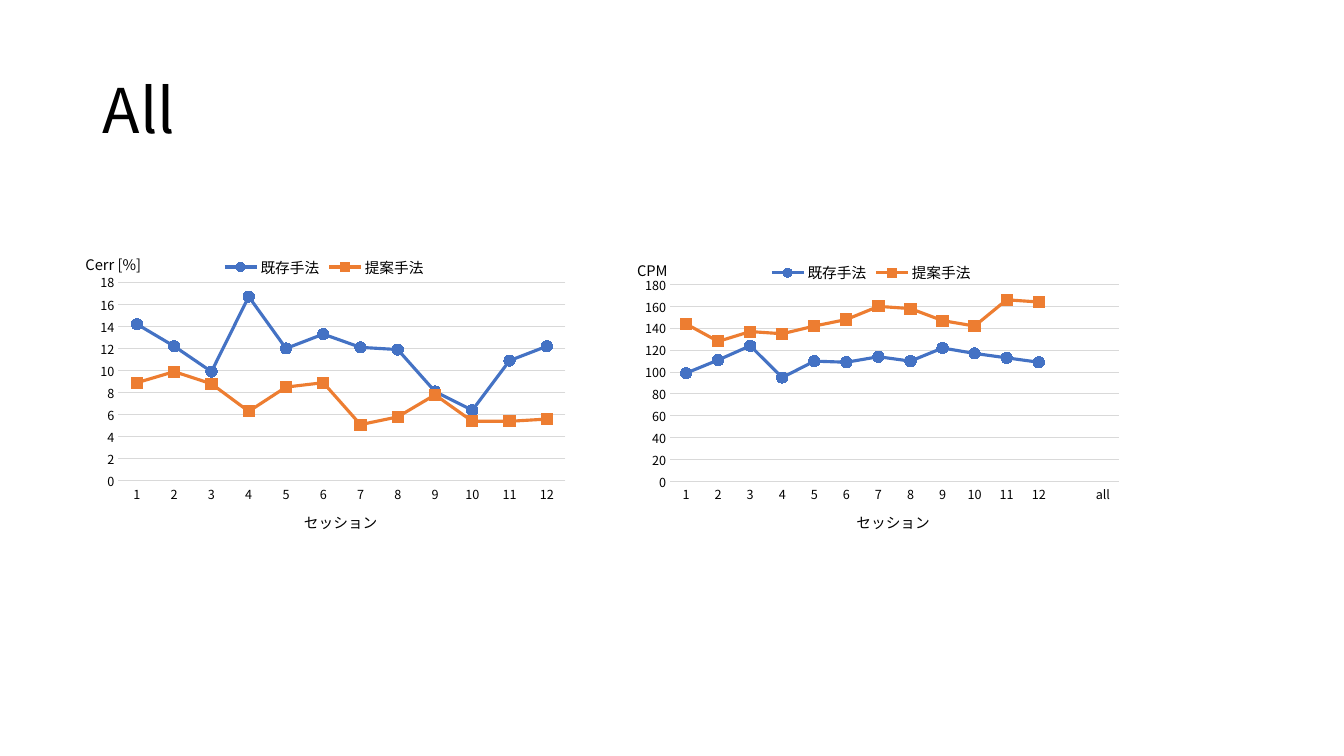
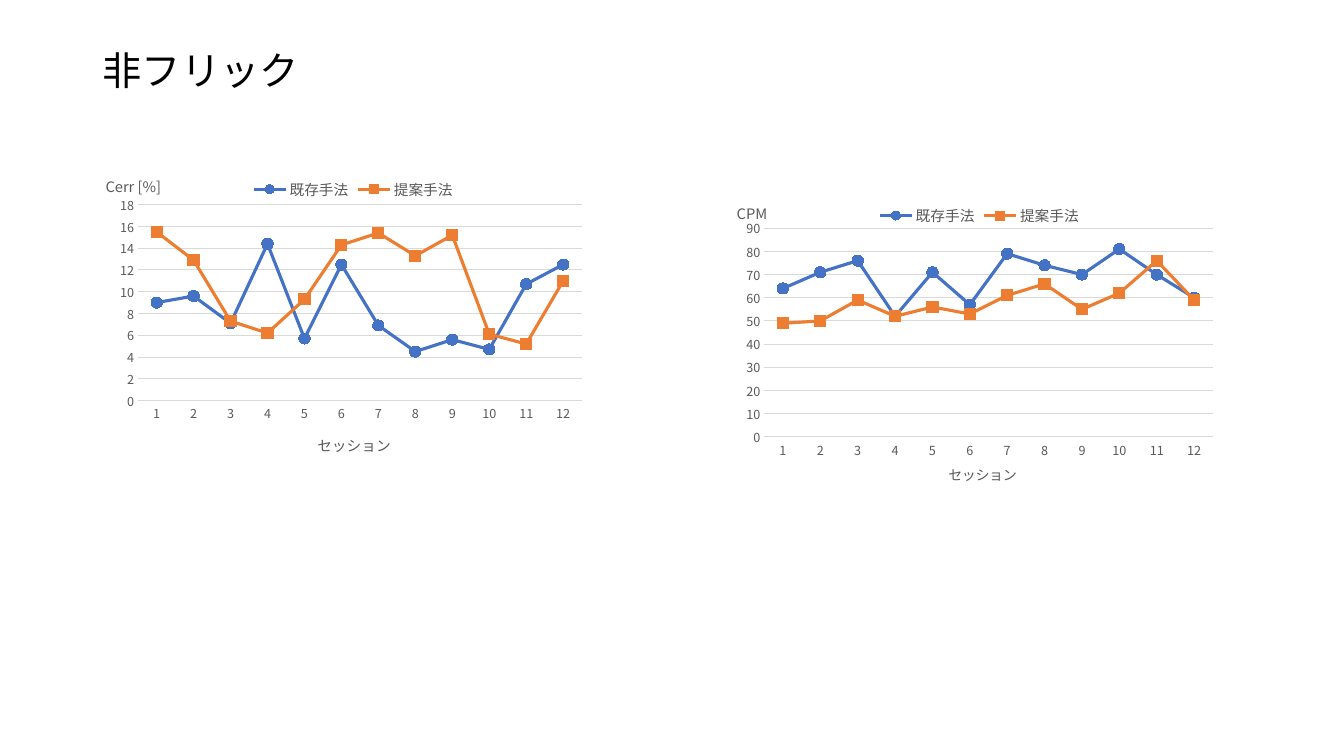
from dataclasses import dataclass

from lxml.etree import SubElement
from pptx import Presentation
from pptx.chart.axis import CategoryAxis, ValueAxis
from pptx.chart.chart import Chart
from pptx.chart.data import CategoryChartData
from pptx.dml.color import RGBColor
from pptx.enum.chart import (XL_CHART_TYPE, XL_LEGEND_POSITION, XL_MARKER_STYLE,
                             XL_TICK_MARK)
from pptx.enum.text import MSO_ANCHOR, MSO_AUTO_SIZE, PP_ALIGN
from pptx.oxml.ns import qn
from pptx.oxml.xmlchemy import BaseOxmlElement
from pptx.slide import Slide
from pptx.text.text import Font
from pptx.util import Inches, Pt

# Shared style
FONT = "Noto Sans CJK JP"
BLACK = RGBColor(0x00, 0x00, 0x00)
GRAY = RGBColor(0x59, 0x59, 0x59)
GRID = RGBColor(0xD9, 0xD9, 0xD9)
BLUE = RGBColor(0x44, 0x72, 0xC4)
ORANGE = RGBColor(0xED, 0x7D, 0x31)
SERIES_STYLES = (
    ("既存手法", BLUE, XL_MARKER_STYLE.CIRCLE),
    ("提案手法", ORANGE, XL_MARKER_STYLE.SQUARE),
)
SESSIONS = tuple(str(n) for n in range(1, 13))
SESSION_TITLE = "セッション"


@dataclass(frozen=True)
class LineChart:
    """Box is in inches; the layout fields are fractions of the chart."""
    box: tuple[float, float, float, float]
    unit: str
    maximum: float
    step: float
    existing: tuple[float, ...]
    proposed: tuple[float, ...]
    plot: tuple[float, float, float, float]
    legend: tuple[float, float]
    unit_at: tuple[float, float]
    session_at: tuple[float, float]
    categories: tuple[str, ...] = SESSIONS
    session_size: float = 10.5


@dataclass(frozen=True)
class ChartSlide:
    title: str
    title_box: tuple[float, float, float, float]
    title_size: float
    chart_color: RGBColor
    charts: tuple[LineChart, ...]


SLIDES = (
    ChartSlide("All", (0.92, 0.4, 11.5, 1.45), 44, BLACK, (
        LineChart(
            (0.72, 2.36, 5.04, 2.97), "Cerr [%]", 18, 2,
            (14.2, 12.2, 9.9, 16.7, 12, 13.3, 12.1, 11.9, 8.1, 6.4, 10.9, 12.2),
            (8.9, 9.9, 8.8, 6.3, 8.5, 8.9, 5.1, 5.8, 7.8, 5.4, 5.4, 5.6),
            plot=(0.09, 0.15, 0.88, 0.67), legend=(0.29, 0.05),
            unit_at=(0.02, 0.04), session_at=(0.45, 0.91)),
        LineChart(
            (6.19, 2.42, 5.06, 2.91), "CPM", 180, 20,
            (99, 111, 124, 95, 110, 109, 114, 110, 122, 117, 113, 109),
            (144, 128, 137, 135, 142, 148, 160, 158, 147, 142, 166, 164),
            plot=(0.09, 0.14, 0.88, 0.68), legend=(0.28, 0.05),
            unit_at=(0.02, 0.04), session_at=(0.45, 0.91),
            categories=SESSIONS + ("", "all")),
    )),
    ChartSlide("非フリック", (0.92, 0.4, 2.26, 0.65), 28, GRAY, (
        LineChart(
            (0.92, 1.56, 5, 3), "Cerr [%]", 18, 2,
            (9, 9.6, 7.1, 14.4, 5.7, 12.5, 6.9, 4.5, 5.6, 4.7, 10.7, 12.5),
            (15.5, 12.9, 7.3, 6.2, 9.3, 14.3, 15.4, 13.3, 15.2, 6.1, 5.2, 11),
            plot=(0.09, 0.16, 0.88, 0.66), legend=(0.31, 0.06),
            unit_at=(0.02, 0.05), session_at=(0.44, 0.92)),
        LineChart(
            (7.18, 1.85, 5, 3), "CPM", 90, 10,
            (64, 71, 76, 52, 71, 57, 79, 74, 70, 81, 70, 60),
            (49, 50, 59, 52, 56, 53, 61, 66, 55, 62, 76, 59),
            plot=(0.08, 0.14, 0.89, 0.7), legend=(0.3, 0.05),
            unit_at=(0.02, 0.04), session_at=(0.44, 0.92), session_size=10),
    )),
)


def set_attributes(target: object, values: dict[str, object]) -> None:
    for name, value in values.items():
        setattr(target, name, value)


def format_font(font: Font, size: float, color: RGBColor) -> None:
    set_attributes(font, {"name": FONT, "size": Pt(size), "bold": False})
    font.color.rgb = color


def add_east_asian(element: BaseOxmlElement) -> None:
    """Use each Latin typeface for Japanese text as well."""
    for latin in list(element.iter(qn("a:latin"))):
        ea = SubElement(latin.getparent(), qn("a:ea"))
        ea.set("typeface", latin.get("typeface"))
        latin.addnext(ea)


def place(element: BaseOxmlElement, index: int, position: tuple[float, ...],
          inner: bool = False) -> None:
    """Give a chart part a manual layout, as its child number index."""
    old = element.find(qn("c:layout"))
    if old is not None:
        element.remove(old)
    layout = SubElement(element, qn("c:layout"))
    element.insert(index, layout)
    manual = SubElement(layout, qn("c:manualLayout"))
    settings = [("layoutTarget", "inner")] if inner else []
    settings += [("xMode", "edge"), ("yMode", "edge")]
    settings += zip("xywh", position)
    for tag, value in settings:
        SubElement(manual, qn(f"c:{tag}")).set("val", str(value))


def format_axis(axis: CategoryAxis | ValueAxis, title: str, size: float,
                color: RGBColor, position: tuple[float, float]) -> None:
    set_attributes(axis, {"major_tick_mark": XL_TICK_MARK.NONE,
                          "minor_tick_mark": XL_TICK_MARK.NONE})
    format_font(axis.tick_labels.font, 9, color)
    tf = axis.axis_title.text_frame
    r = tf.paragraphs[0].add_run()
    r.text = title
    format_font(r.font, size, color)
    element = axis.axis_title.element
    element.find(".//" + qn("a:bodyPr")).set("rot", "0")
    place(element, 1, position)


def format_series(chart: Chart) -> None:
    for series, (_, color, marker) in zip(chart.plots[0].series, SERIES_STYLES):
        series.smooth = False
        series.format.line.width = Pt(2.25)
        series.format.line.color.rgb = color
        set_attributes(series.marker, {"style": marker, "size": 8})
        series.marker.format.fill.solid()
        series.marker.format.fill.fore_color.rgb = color
        series.marker.format.line.color.rgb = color


def add_line_chart(s: Slide, item: LineChart, color: RGBColor) -> None:
    # Data, padded where a category has no value
    data = CategoryChartData()
    data.categories = item.categories
    padding = (None,) * (len(item.categories) - len(SESSIONS))
    for (name, _, _), values in zip(SERIES_STYLES, (item.existing, item.proposed)):
        data.add_series(name, values + padding)
    chart = s.shapes.add_chart(XL_CHART_TYPE.LINE_MARKERS,
                               *map(Inches, item.box), data).chart
    chart.has_title = False
    format_font(chart.font, 10, BLACK)
    chart.plots[0].vary_by_categories = False
    format_series(chart)

    # Axes
    x_axis, y_axis = chart.category_axis, chart.value_axis
    format_axis(x_axis, SESSION_TITLE, item.session_size, color, item.session_at)
    format_axis(y_axis, item.unit, 10.5, color, item.unit_at)
    set_attributes(y_axis, {"minimum_scale": 0, "maximum_scale": item.maximum,
                            "major_unit": item.step, "has_major_gridlines": True})
    y_axis.format.line.fill.background()
    for line in (x_axis.format.line, y_axis.major_gridlines.format.line):
        line.width = Pt(0.75)
        line.color.rgb = GRID

    # Legend and plot area
    chart.has_legend = True
    set_attributes(chart.legend, {"position": XL_LEGEND_POSITION.BOTTOM,
                                  "include_in_layout": False})
    format_font(chart.legend.font, 10.5, color)
    root = chart.element
    place(root.find(".//" + qn("c:legend")), 1, item.legend)
    place(root.find(".//" + qn("c:plotArea")), 0, item.plot, inner=True)
    add_east_asian(root)


def format_title(s: Slide, item: ChartSlide) -> None:
    sp = s.shapes.title
    edges = ("left", "top", "width", "height")
    set_attributes(sp, dict(zip(edges, map(Inches, item.title_box))))
    tf = sp.text_frame
    set_attributes(tf, {"text": item.title, "word_wrap": True,
                        "auto_size": MSO_AUTO_SIZE.NONE,
                        "vertical_anchor": MSO_ANCHOR.MIDDLE})
    p = tf.paragraphs[0]
    set_attributes(p, {"alignment": PP_ALIGN.LEFT, "line_spacing": 0.9})
    format_font(p.runs[0].font, item.title_size, BLACK)
    add_east_asian(sp.element)


def main() -> None:
    prs = Presentation()
    set_attributes(prs, {"slide_width": Inches(13.33), "slide_height": Inches(7.5)})
    title_only = prs.slide_layouts[5]
    for item in SLIDES:
        s = prs.slides.add_slide(title_only)
        format_title(s, item)
        for line_chart in item.charts:
            add_line_chart(s, line_chart, item.chart_color)
    prs.save("out.pptx")


if __name__ == "__main__":
    main()
